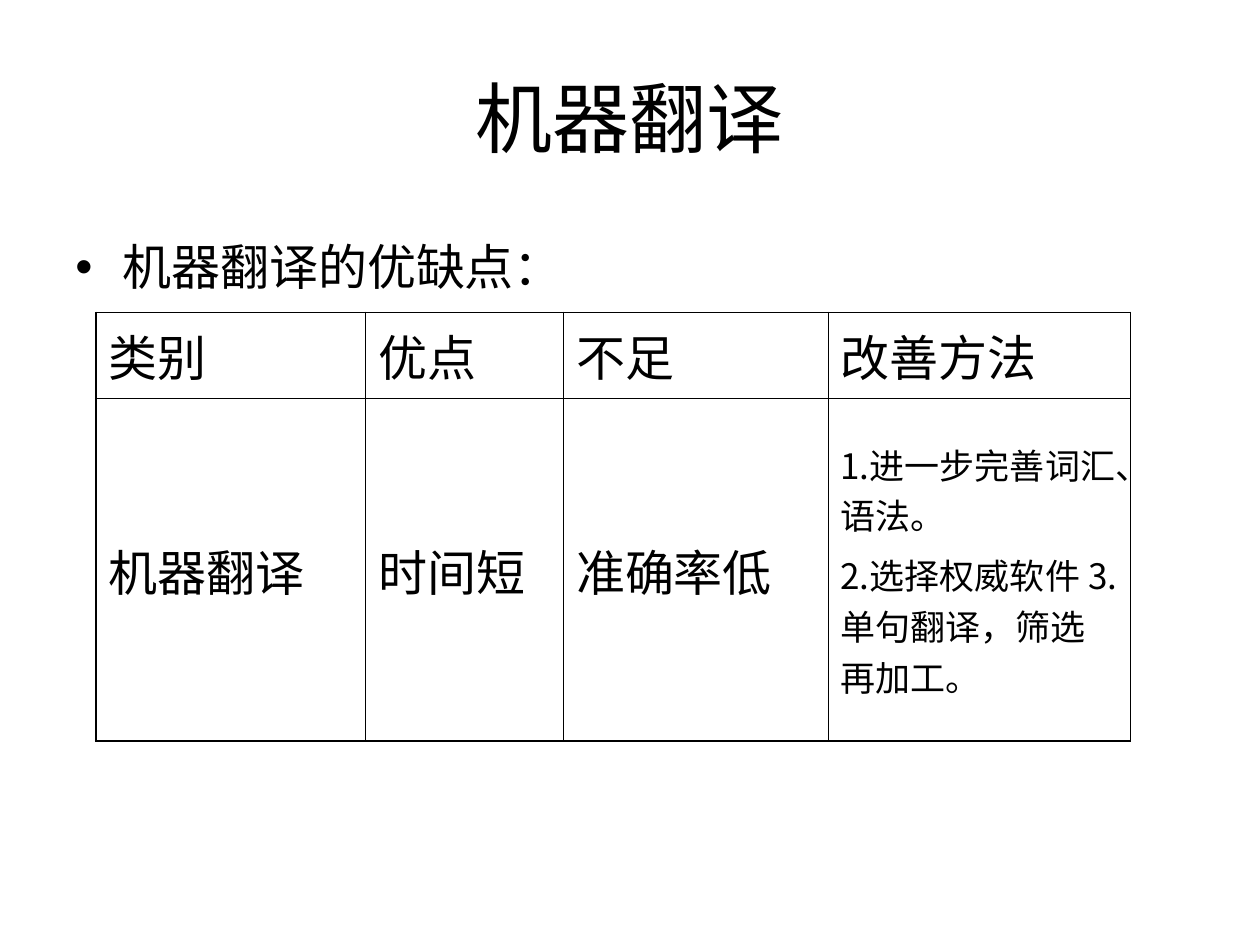
import pptx
import pptx.dml.color
import pptx.enum.text
import pptx.oxml
import pptx.oxml.ns
import pptx.util
from lxml import etree

Cm = pptx.util.Cm
Pt = pptx.util.Pt
qn = pptx.oxml.ns.qn
BLACK = "000000"
CJK = "Noto Sans CJK SC"
THIN, THICK = 0.45, 1.08


def write(paragraph, text, size, latin="Arial", color=BLACK, before=0):
    paragraph.space_before = Pt(before)
    run = paragraph.add_run()
    run.text = text
    run.font.size = Pt(size)
    run.font.name = latin
    run.font.color.rgb = pptx.dml.color.RGBColor.from_string(color)
    east_asian = etree.SubElement(run.font._element, qn("a:ea"))
    east_asian.set("typeface", CJK)


def add_border(cell, side, width, color=BLACK):
    line = etree.SubElement(cell._tc.get_or_add_tcPr(), qn(f"a:ln{side}"))
    line.set("w", str(int(Pt(width))))
    fill = etree.SubElement(line, qn("a:solidFill"))
    etree.SubElement(fill, qn("a:srgbClr")).set("val", color)


presentation = pptx.Presentation()
presentation.slide_width = Cm(25.4)
presentation.slide_height = Cm(19.05)
slide = presentation.slides.add_slide(presentation.slide_layouts[5])

# Title
title = slide.shapes.title
title.left, title.top, title.width, title.height = Cm(1.27), Cm(0.76), Cm(22.86), Cm(3.18)
title.text_frame.vertical_anchor = pptx.enum.text.MSO_ANCHOR.MIDDLE
heading = title.text_frame.paragraphs[0]
heading.alignment = pptx.enum.text.PP_ALIGN.CENTER
write(heading, "机器翻译", 44)

# Bulleted lead-in
lead_in = slide.shapes.add_textbox(Cm(1.27), Cm(4.65), Cm(11.23), Cm(10.8))
lead_in.text_frame.word_wrap = True
bullet_line = lead_in.text_frame.paragraphs[0]
properties = bullet_line._p.get_or_add_pPr()
properties.set("marL", str(int(Cm(0.95))))
properties.set("indent", str(int(Cm(-0.95))))
etree.SubElement(properties, qn("a:buFont")).set("typeface", "Arial")
etree.SubElement(properties, qn("a:buChar")).set("char", "•")
write(bullet_line, "机器翻译的优缺点：", 28)

# Comparison table
rows = [
    ["类别", "优点", "不足", "改善方法"],
    ["机器翻译", "时间短", "准确率低",
     "1.进一步完善词汇、语法。\n2.选择权威软件 3.单句翻译，筛选再加工。"],
]
column_widths = [5.44, 3.99, 5.33, 6.1]
row_heights = [1.73, 6.91]
comparison = slide.shapes.add_table(
    len(rows), len(column_widths), Cm(1.93), Cm(6.3),
    Cm(sum(column_widths)), Cm(sum(row_heights))).table
comparison.first_row = False
comparison.horz_banding = False
for column, width in zip(comparison.columns, column_widths):
    column.width = Cm(width)
for row, height in zip(comparison.rows, row_heights):
    row.height = Cm(height)

last_row, last_column = len(rows) - 1, len(column_widths) - 1
for r, texts in enumerate(rows):
    for c, text in enumerate(texts):
        cell = comparison.cell(r, c)
        cell.vertical_anchor = pptx.enum.text.MSO_ANCHOR.MIDDLE
        on_edge = {"L": c == 0, "R": c == last_column, "T": r == 0, "B": r == last_row}
        for side, outer in on_edge.items():
            add_border(cell, side, THICK if outer else THIN)
        cell.fill.background()
        items = text.split("\n")
        for i, item in enumerate(items):
            paragraph = cell.text_frame.add_paragraph() if i else cell.text_frame.paragraphs[0]
            write(paragraph, item, 20 if len(items) > 1 else 28, latin=CJK, before=5 if i else 0)

presentation.save("out.pptx")
